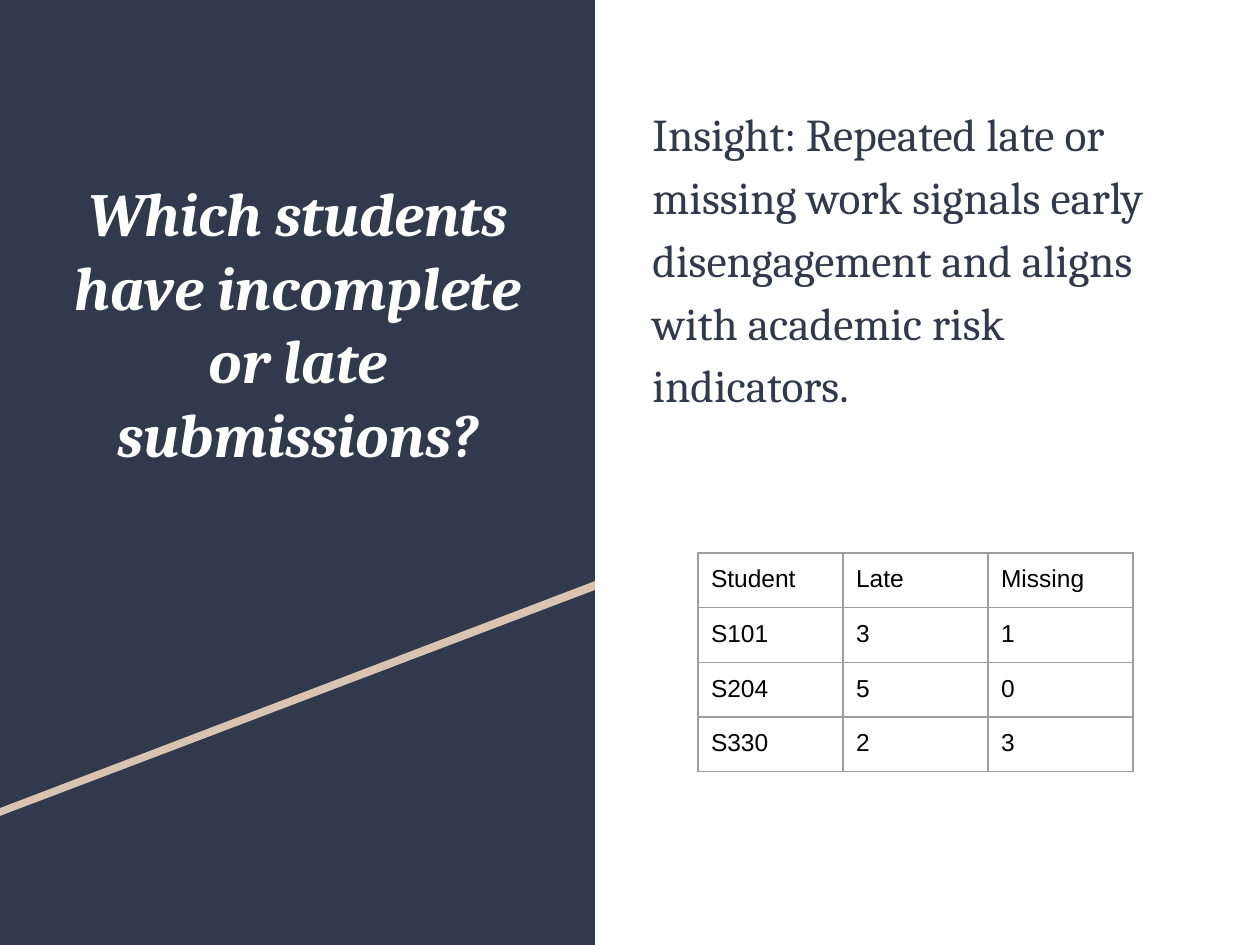
from lxml import etree
from pptx import Presentation
from pptx.dml.color import RGBColor
from pptx.enum.shapes import MSO_SHAPE
from pptx.enum.text import MSO_ANCHOR, PP_ALIGN
from pptx.oxml.ns import qn
from pptx.util import Pt

EMU_PER_PX = 914400 / 126
RECTANGLE = MSO_SHAPE.RECTANGLE
MIDDLE, TOP = MSO_ANCHOR.MIDDLE, MSO_ANCHOR.TOP
CENTER, LEFT = PP_ALIGN.CENTER, PP_ALIGN.LEFT
NAVY, SAND, WHITE, BLACK, GRID = "31394D", "D9C4B1", "FFFFFF", "000000", "9E9E9E"
PANEL_WIDTH = 595
SUBMISSIONS = [
    ("Student", "Late", "Missing"),
    ("S101", "3", "1"),
    ("S204", "5", "0"),
    ("S330", "2", "3"),
]


def px(length):
    """Turn a length in px into EMU."""
    return round(length * EMU_PER_PX)


def color(hex_code):
    """Return the colour for a hex string."""
    return RGBColor.from_string(hex_code)


def paint(shape, fill):
    """Give a shape a flat fill without line or shadow."""
    shape.shadow.inherit = False
    shape.fill.solid()
    shape.fill.fore_color.rgb = color(fill)
    shape.line.fill.background()


def add_panel(slide, width, height, fill):
    """Add a filled rectangle in the top left corner."""
    panel = slide.shapes.add_shape(RECTANGLE, 0, 0, px(width), px(height))
    paint(panel, fill)


def add_polygon(slide, points, fill):
    """Add a closed outline through points given in px."""
    start, *others = [(px(x), px(y)) for x, y in points]
    builder = slide.shapes.build_freeform(*start)
    builder.add_line_segments(others, close=True)
    paint(builder.convert_to_shape(), fill)


def write(frame, text, size, font, fill, bold=False, italic=False,
          align=LEFT, spacing=None):
    """Write one formatted paragraph into a text frame."""
    paragraph = frame.paragraphs[0]
    paragraph.alignment = align
    if spacing:
        paragraph.line_spacing = spacing
    run = paragraph.add_run()
    run.text = text
    run.font.size = Pt(size)
    run.font.name = font
    run.font.bold = bold
    run.font.italic = italic
    run.font.color.rgb = color(fill)


def add_text(slide, left, top, width, height, text, anchor=TOP, **style):
    """Add a wrapping text box."""
    box = slide.shapes.add_textbox(px(left), px(top), px(width), px(height))
    frame = box.text_frame
    frame.word_wrap = True
    frame.vertical_anchor = anchor
    write(frame, text, **style)


def add_borders(cell, stroke, width):
    """Draw a solid line on all four sides of a cell."""
    properties = cell._tc.get_or_add_tcPr()
    for index, side in enumerate(("a:lnL", "a:lnR", "a:lnT", "a:lnB")):
        line = etree.Element(qn(side), w=str(Pt(width)))
        fill = etree.SubElement(line, qn("a:solidFill"))
        etree.SubElement(fill, qn("a:srgbClr"), val=stroke)
        properties.insert(index, line)


def add_grid(slide, left, top, column_width, row_height, rows):
    """Add a bordered table without cell fills."""
    row_count, column_count = len(rows), len(rows[0])
    table = slide.shapes.add_table(
        row_count, column_count, px(left), px(top),
        px(column_width * column_count), px(row_height * row_count)).table
    table.first_row = table.horz_banding = False
    for row_index, values in enumerate(rows):
        for column_index, value in enumerate(values):
            cell = table.cell(row_index, column_index)
            cell.fill.background()
            cell.margin_left = cell.margin_right = px(13)
            cell.margin_top = cell.margin_bottom = Pt(7.2)
            write(cell.text_frame, value, size=14, font="Arial", fill=BLACK)
            add_borders(cell, GRID, 0.75)


def main():
    """Build and save the slide."""
    presentation = Presentation()
    presentation.slide_width, presentation.slide_height = px(1260), px(945)
    slide = presentation.slides.add_slide(presentation.slide_layouts[6])

    add_panel(slide, PANEL_WIDTH, 945, NAVY)
    add_polygon(slide, [(0, 9), (PANEL_WIDTH, 8), (PANEL_WIDTH, 590), (0, 816)], SAND)
    add_polygon(slide, [(0, 0), (PANEL_WIDTH, 0), (PANEL_WIDTH, 581), (0, 808)], NAVY)

    add_text(slide, 43, 92, 510, 461,
             "Which students have incomplete or late submissions?",
             anchor=MIDDLE, size=35, font="Cambria", fill=WHITE,
             bold=True, italic=True, align=CENTER)
    add_text(slide, 640, 92, 575, 753,
             "Insight: Repeated late or missing work signals early "
             "disengagement and aligns with academic risk indicators.",
             size=26, font="Cambria", fill=NAVY, spacing=1.15)
    add_grid(slide, 698, 553, 145, 52, SUBMISSIONS)

    presentation.save("out.pptx")


if __name__ == "__main__":
    main()
